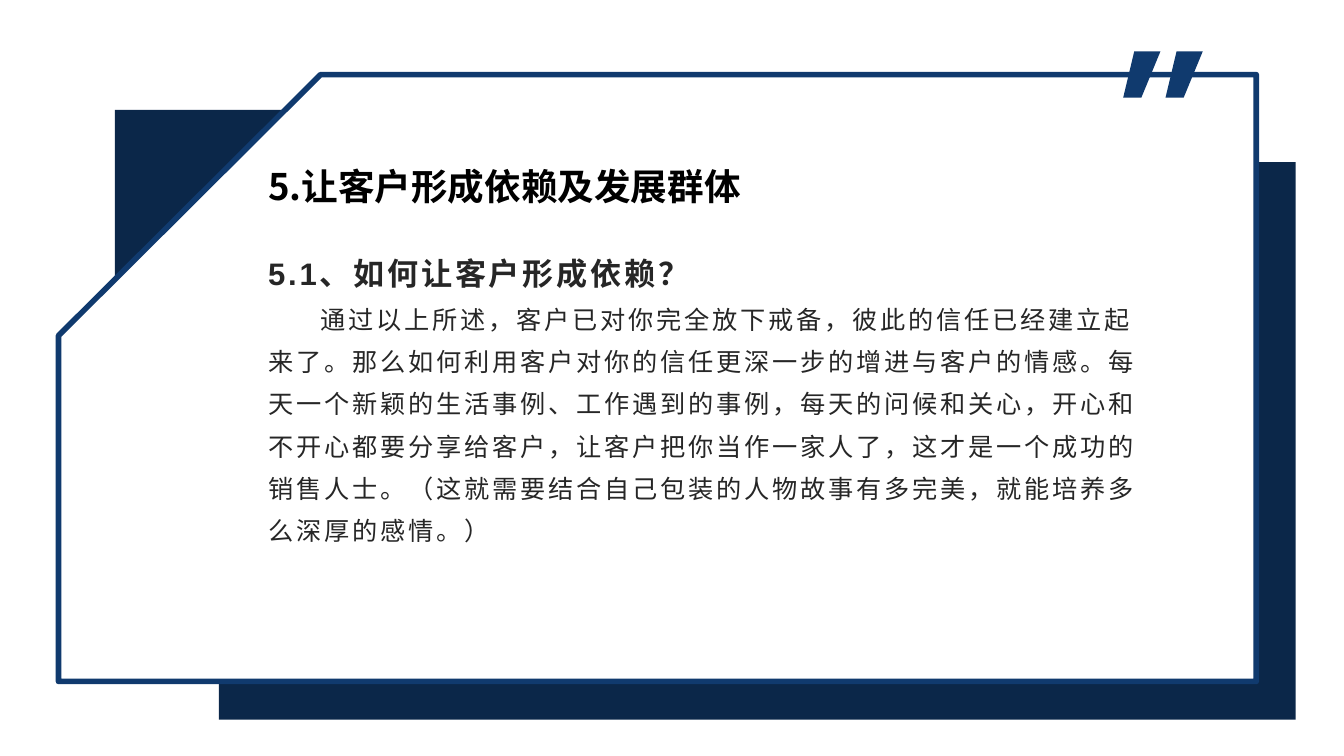
from pptx import Presentation
from pptx.dml.color import RGBColor
from pptx.enum.shapes import MSO_SHAPE
from pptx.oxml.ns import qn
from pptx.util import Inches, Pt
from lxml.etree import SubElement

W, H = 13.33, 7.5
NAVY, BLUE, WHITE = "0B2749", "103A6E", "FFFFFF"
CJK = "Noto Sans CJK SC"
TITLE = "5.让客户形成依赖及发展群体"
HEADING = "5.1、如何让客户形成依赖？"
BODY = (
    "通过以上所述，客户已对你完全放下戒备，彼此的信任已经建立起来了。"
    "那么如何利用客户对你的信任更深一步的增进与客户的情感。"
    "每天一个新颖的生活事例、工作遇到的事例，每天的问候和关心，"
    "开心和不开心都要分享给客户，让客户把你当作一家人了，这才是一个成功的销售人士。"
    "（这就需要结合自己包装的人物故事有多完美，就能培养多么深厚的感情。）"
)
CORNER = (1.14, 1.09, 2.37, 2.59)
SHADE = [(12.43, 1.61), (12.85, 1.61), (12.85, 7.14), (2.17, 7.14), (2.17, 6.74), (12.43, 6.74)]
PANEL = [(3.18, 0.74), (12.46, 0.74), (12.46, 6.76), (0.58, 6.76), (0.58, 3.33)]
QUOTE = [(0.18, 0.97), (0, 0.97), (0.11, 0.51), (0.37, 0.51)]
QUOTE_LEFTS = (11.56, 11.14)
TEXT_LEFT, TEXT_WIDTH = 2.56, 8.95


def rgb(color):
    return RGBColor.from_string(color)


def paint(sp, fill, line=None, width=0):
    sp.shadow.inherit = False
    sp.fill.solid()
    sp.fill.fore_color.rgb = rgb(fill)
    if line:
        sp.line.color.rgb = rgb(line)
        sp.line.width = Pt(width)
    else:
        sp.line.fill.background()


def outline(s, points, *style):
    pts = [(Inches(x), Inches(y)) for x, y in points]
    fb = s.shapes.build_freeform(*pts[0])
    fb.add_line_segments(pts[1:], close=True)
    paint(fb.convert_to_shape(), *style)


def text_box(s, top, height, paragraphs):
    tf = s.shapes.add_textbox(*map(Inches, (TEXT_LEFT, top, TEXT_WIDTH, height))).text_frame
    tf.word_wrap = True
    for i, (text, size, font, color, bold, track, spacing, indent) in enumerate(paragraphs):
        p = tf.add_paragraph() if i else tf.paragraphs[0]
        p.line_spacing = spacing
        r = p.add_run()
        r.text = text
        p.font.size, p.font.name, p.font.bold = Pt(size), font, bold
        p.font.color.rgb = rgb(color)
        pPr = p._p.get_or_add_pPr()
        pPr.set("indent", str(Inches(indent)))
        SubElement(pPr.find(qn("a:defRPr")), qn("a:ea")).set("typeface", CJK)
        rPr = r._r.get_or_add_rPr()
        for key, value in pPr.find(qn("a:defRPr")).items():
            rPr.set(key, value)
        rPr.set("spc", str(track * 100))
        r.font.name = font
        r.font.color.rgb = rgb(color)
        SubElement(rPr, qn("a:ea")).set("typeface", CJK)


prs = Presentation()
prs.slide_width, prs.slide_height = Inches(W), Inches(H)
s = prs.slides.add_slide(prs.slide_layouts[6])

paint(s.shapes.add_shape(MSO_SHAPE.RECTANGLE, *map(Inches, CORNER)), NAVY)
outline(s, SHADE, NAVY)
outline(s, PANEL, WHITE, BLUE, 4)
text_box(s, 1.49, 0.69, [(TITLE, 26.1, CJK, "000000", True, 0, 1.2, 0)])
text_box(s, 2.33, 4.26, [
    (HEADING, 22.2, "Arial", "262626", True, 2, 1.4, 0),
    (BODY, 18, "Arial", "262626", False, 2, 1.4, 0.52),
])
for left in QUOTE_LEFTS:
    outline(s, [(left + x, y) for x, y in QUOTE], BLUE)

prs.save("out.pptx")
